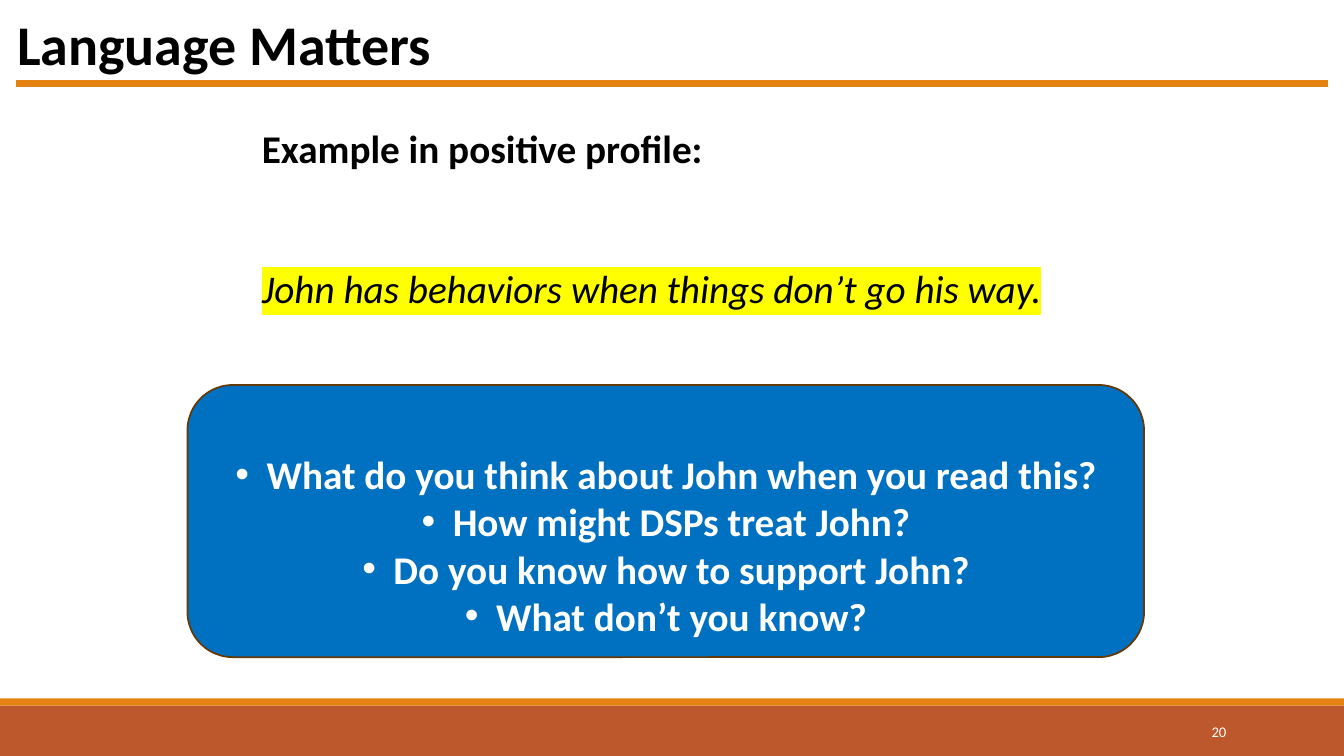
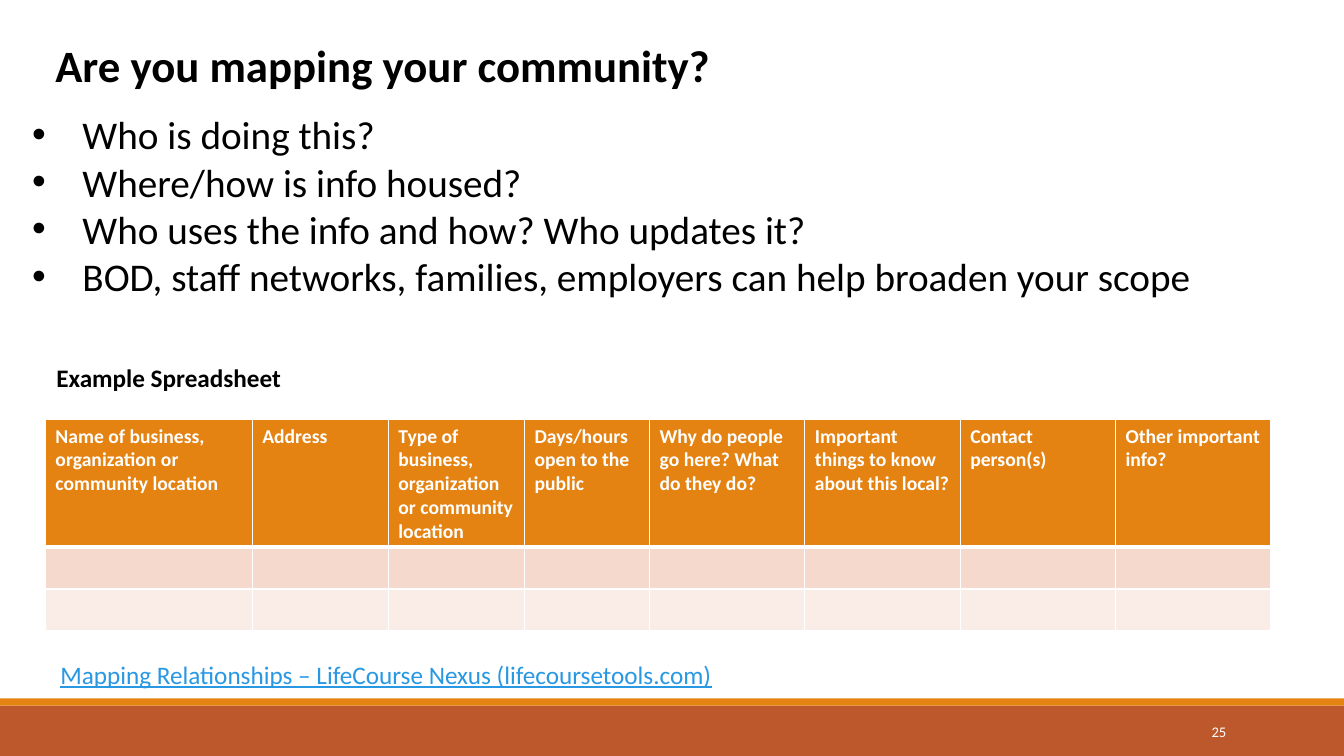
from dataclasses import dataclass

from lxml.etree import SubElement
from pptx import Presentation
from pptx.dml.color import RGBColor
from pptx.enum.shapes import MSO_CONNECTOR as Connector
from pptx.enum.shapes import MSO_SHAPE as Shape
from pptx.enum.text import MSO_ANCHOR as Anchor
from pptx.enum.text import PP_ALIGN as Align
from pptx.oxml.ns import qn
from pptx.util import Inches, Pt

FONT = "Calibri"
BLACK = RGBColor(0x00, 0x00, 0x00)
WHITE = RGBColor(0xFF, 0xFF, 0xFF)
ORANGE = RGBColor(0xE4, 0x83, 0x12)
RUST = RGBColor(0xBD, 0x58, 0x2C)
BLUE = RGBColor(0x00, 0x70, 0xC0)
BROWN = RGBColor(0x64, 0x39, 0x08)
LINK_BLUE = RGBColor(0x29, 0x98, 0xE3)
YELLOW = RGBColor(0xFF, 0xFF, 0x00)
PINK = RGBColor(0xF5, 0xD9, 0xCC)
PALE_PINK = RGBColor(0xFA, 0xED, 0xE7)


@dataclass(frozen=True)
class Box:
    left: int
    top: int
    width: int
    height: int

    def inner(self, left, top, width, height):
        """Return an inner box given in percent of this one."""
        return Box(
            round(self.left + self.width * left / 100),
            round(self.top + self.height * top / 100),
            round(self.width * width / 100),
            round(self.height * height / 100),
        )

    @property
    def place(self):
        return self.left, self.top, self.width, self.height


PAGE = Box(0, 0, Inches(13.33), Inches(7.5))


# Text and shape helpers
def add_bullet(paragraph, indent):
    properties = paragraph._p.get_or_add_pPr()
    properties.set("marL", str(Inches(indent)))
    properties.set("indent", str(-Inches(indent)))
    SubElement(properties, qn("a:buFont")).set("typeface", "Arial")
    SubElement(properties, qn("a:buChar")).set("char", "•")


def write(paragraph, text, size=28, color=BLACK, bold=False, italic=False,
          underline=False, highlight=None, align=Align.LEFT, bullet=None, before=0):
    if bullet:
        add_bullet(paragraph, bullet)
    paragraph.alignment = align
    if before:
        paragraph.space_before = Pt(before)
    run = paragraph.add_run()
    run.text = text
    font = run.font
    font.name, font.size, font.bold = FONT, Pt(size), bold
    font.italic, font.underline = italic, underline
    font.color.rgb = color
    if highlight:
        properties = run._r.get_or_add_rPr()
        mark = SubElement(properties, qn("a:highlight"))
        SubElement(mark, qn("a:srgbClr")).set("val", str(highlight))
        properties.find(qn("a:solidFill")).addnext(mark)


def write_lines(frame, lines, **style):
    for index, line in enumerate(lines):
        paragraph = frame.add_paragraph() if index else frame.paragraphs[0]
        write(paragraph, line, **style)


def add_text(slide, box, *lines, anchor=Anchor.TOP, **style):
    frame = slide.shapes.add_textbox(*box.place).text_frame
    frame.word_wrap = True
    frame.vertical_anchor = anchor
    write_lines(frame, lines, **style)
    return frame


def add_panel(slide, box, fill, kind=Shape.RECTANGLE, line=None):
    shape = slide.shapes.add_shape(kind, *box.place)
    shape.shadow.inherit = False
    shape.fill.solid()
    shape.fill.fore_color.rgb = fill
    if line:
        shape.line.color.rgb = line
        shape.line.width = Pt(1.25)
    else:
        shape.line.fill.background()
    return shape


# Elements shared by the slides
def add_footer(slide, box, number):
    add_panel(slide, box.inner(0, 12.3, 100, 87.7), RUST)
    add_panel(slide, box.inner(0, 0, 100, 12.3), ORANGE)
    add_text(slide, box.inner(81.25, 22.8, 10.73, 70.2), number, size=10.5,
             color=WHITE, align=Align.RIGHT, anchor=Anchor.MIDDLE)


def add_title(slide, box, text, size):
    add_text(slide, box, text, size=size, bold=True)


def start_slide(presentation, number):
    slide = presentation.slides.add_slide(presentation.slide_layouts[6])
    add_footer(slide, PAGE.inner(0, 92.4, 100, 7.6), number)
    return slide


# Regions of the language slide
def add_rule(slide, box):
    rule = slide.shapes.add_connector(Connector.STRAIGHT, box.left, box.top,
                                      box.left + box.width, box.top)
    rule.line.color.rgb = ORANGE
    rule.line.width = Pt(5)
    SubElement(rule._element.spPr, qn("a:effectLst"))


def add_example(slide, box, heading, sentence):
    frame = add_text(slide, box, heading, bold=True)
    write(frame.add_paragraph(), sentence, italic=True, highlight=YELLOW, before=67)


def add_questions(slide, box, questions):
    panel = add_panel(slide, box, BLUE, Shape.ROUNDED_RECTANGLE, BROWN)
    frame = panel.text_frame
    frame.word_wrap = True
    frame.vertical_anchor = Anchor.MIDDLE
    frame.margin_top = Inches(0.52)
    write_lines(frame, questions, color=WHITE, bold=True,
                align=Align.CENTER, bullet=0.31)


def build_language_slide(presentation):
    slide = start_slide(presentation, "20")
    add_rule(slide, PAGE.inner(1.2, 11.07, 97.58, 0))
    add_title(slide, PAGE.inner(0.53, 0.67, 91.95, 10.27), "Language Matters", 40)
    add_example(slide, PAGE.inner(18.75, 15.73, 60.38, 28),
                "Example in positive profile:",
                "John has behaviors when things don’t go his way.")
    add_questions(slide, PAGE.inner(13.95, 50.93, 71.18, 36), [
        "What do you think about John when you read this?",
        "How might DSPs treat John?",
        "Do you know how to support John?",
        "What don’t you know?",
    ])


# Regions of the mapping slide
COLUMNS = [
    ("Name of business, organization or community location", 2.05),
    ("Address", 1.35),
    ("Type of business, organization or community location", 1.35),
    ("Days/hours open to the public", 1.24),
    ("Why do people go here? What do they do?", 1.54),
    ("Important things to know about this local?", 1.54),
    ("Contact person(s)", 1.54),
    ("Other important info?", 1.54),
]
ROW_FILLS = [ORANGE, PINK, PALE_PINK]
ROW_SHARES = [0.6, 0.2, 0.2]


def style_cell(cell, fill, top=1, bottom=1):
    properties = cell._tc.get_or_add_tcPr()
    for side, width in (("L", 1), ("R", 1), ("T", top), ("B", bottom)):
        border = SubElement(properties, qn(f"a:ln{side}"), w=str(Pt(width)))
        color = SubElement(border, qn("a:solidFill"))
        SubElement(color, qn("a:srgbClr")).set("val", str(WHITE))
    cell.fill.solid()
    cell.fill.fore_color.rgb = fill


def add_spreadsheet(slide, box):
    table = slide.shapes.add_table(len(ROW_FILLS), len(COLUMNS), *box.place).table
    for row, share in zip(table.rows, ROW_SHARES):
        row.height = round(box.height * share)
    total = sum(weight for _, weight in COLUMNS)
    for index, (heading, weight) in enumerate(COLUMNS):
        table.columns[index].width = round(box.width * weight / total)
        for row, fill in enumerate(ROW_FILLS):
            style_cell(table.cell(row, index), fill,
                       top=3 if row == 1 else 1, bottom=3 if row == 0 else 1)
        write(table.cell(0, index).text_frame.paragraphs[0], heading,
              size=14, color=WHITE, bold=True)


def build_mapping_slide(presentation):
    slide = start_slide(presentation, "25")
    add_title(slide, PAGE.inner(3.38, 4.27, 93.23, 8.53),
              "Are you mapping your community?", 32)
    add_text(slide, PAGE.inner(1.65, 14, 96.75, 32.8),
             "Who is doing this?",
             "Where/how is info housed?",
             "Who uses the info and how? Who updates it?",
             "BOD, staff networks, families, employers can help broaden your scope",
             bullet=0.5)
    add_text(slide, PAGE.inner(3.45, 47.2, 18.68, 5.33), "Example Spreadsheet",
             size=18, bold=True)
    add_spreadsheet(slide, PAGE.inner(3.38, 55.47, 91.2, 27.73))
    add_text(slide, PAGE.inner(3.75, 86.53, 54.68, 5.33),
             "Mapping Relationships – LifeCourse Nexus (lifecoursetools.com)",
             size=18, color=LINK_BLUE, underline=True)


def main():
    presentation = Presentation()
    presentation.slide_width, presentation.slide_height = PAGE.width, PAGE.height
    build_language_slide(presentation)
    build_mapping_slide(presentation)
    presentation.save("out.pptx")


if __name__ == "__main__":
    main()
